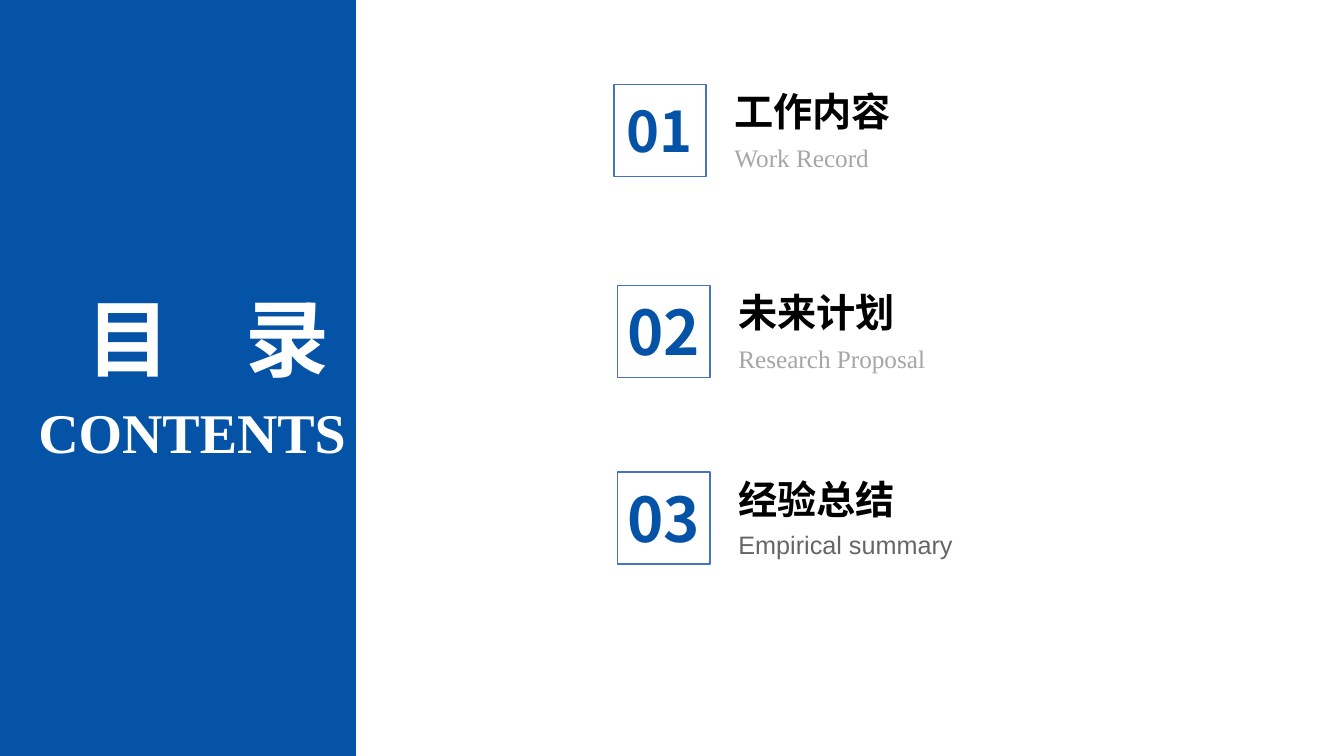
from lxml import etree
from pptx import Presentation
from pptx import util as u
from pptx.dml.color import RGBColor
from pptx.enum import shapes, text
from pptx.oxml.ns import qn

COLORS = {"blue": "0553A7", "frame": "4472C4", "white": "FFFFFF",
          "black": "000000", "light": "A6A6A6", "dark": "666666"}
CJK, SERIF, SANS = "Noto Sans CJK SC", "Times New Roman", "Arial"
TITLE, SUBTITLE = "目\t录", "CONTENTS"
ITEMS = [
    ("01", 40, "工作内容", "Work Record", SERIF, "light", 15.47, 2.13),
    ("02", 44, "未来计划", "Research Proposal", SERIF, "light", 15.57, 7.19),
    ("03", 44, "经验总结", "Empirical summary", SANS, "dark", 15.57, 11.89),
]
PANEL_W, SLIDE_H = 8.97, 19.05
SQUARE, TEXT_DX = 2.32, 2.79
HEADING_DY, CAPTION_DY = -0.05, 1.33


def rgb(name):
    return RGBColor.from_string(COLORS[name])


def write(sp, content, size, face, color, bold=False, align=text.PP_ALIGN.LEFT,
          anchor=text.MSO_ANCHOR.TOP, **frame):
    tf = sp.text_frame
    layout = {"word_wrap": True, "auto_size": text.MSO_AUTO_SIZE.NONE,
              "vertical_anchor": anchor, **frame}
    for key, value in layout.items():
        setattr(tf, key, value)
    p = tf.paragraphs[0]
    p.alignment = align
    r = p.add_run()
    r.text = content
    for key, value in {"size": u.Pt(size), "name": face, "bold": bold}.items():
        setattr(r.font, key, value)
    r.font.color.rgb = rgb(color)
    ea = etree.SubElement(r.font._element, qn("a:ea"))
    ea.set("typeface", face)
    return p


def box(parent, x, y, w, h):
    return parent.add_textbox(u.Cm(x), u.Cm(y), u.Cm(w), u.Cm(h))


def rect(parent, x, y, w, h):
    sp = parent.add_shape(shapes.MSO_SHAPE.RECTANGLE,
                          u.Cm(x), u.Cm(y), u.Cm(w), u.Cm(h))
    sp.shadow.inherit = False
    return sp


prs = Presentation()
prs.slide_width, prs.slide_height = u.Cm(33.87), u.Cm(SLIDE_H)
s = prs.slides.add_slide(prs.slide_layouts[5])

panel = rect(s.shapes, 0, 0, PANEL_W, SLIDE_H)
panel.fill.solid()
panel.fill.fore_color.rgb = rgb("blue")
panel.line.fill.background()

title = s.shapes.title
title.element.addprevious(panel.element)
for key, value in {"left": 1.93, "top": 7.09, "width": 6.9, "height": 2.82}.items():
    setattr(title, key, u.Cm(value))
p = write(title, TITLE, 60, CJK, "white", True)
tabs = etree.SubElement(p._p.get_or_add_pPr(), qn("a:tabLst"))
etree.SubElement(tabs, qn("a:tab"), pos=str(u.Cm(4.01)), algn="l")

write(box(s.shapes, 0, 9.88, PANEL_W, 1.96), SUBTITLE, 40, SERIF, "white", True,
      text.PP_ALIGN.RIGHT)

for number, size, heading, caption, face, color, x, y in ITEMS:
    group = s.shapes.add_group_shape().shapes
    square = rect(group, x, y, SQUARE, SQUARE)
    square.fill.background()
    square.line.color.rgb = rgb("frame")
    square.line.width = u.Pt(1)
    write(square, number, size, CJK, "blue", True, text.PP_ALIGN.CENTER,
          text.MSO_ANCHOR.MIDDLE, margin_left=0, margin_right=0,
          margin_top=0, margin_bottom=0)
    write(box(group, x + TEXT_DX, y + HEADING_DY, 6.65, 1.45),
          heading, 28, CJK, "black", True)
    write(box(group, x + TEXT_DX, y + CAPTION_DY, 8.03, 1.02),
          caption, 18, face, color)

prs.save("out.pptx")
